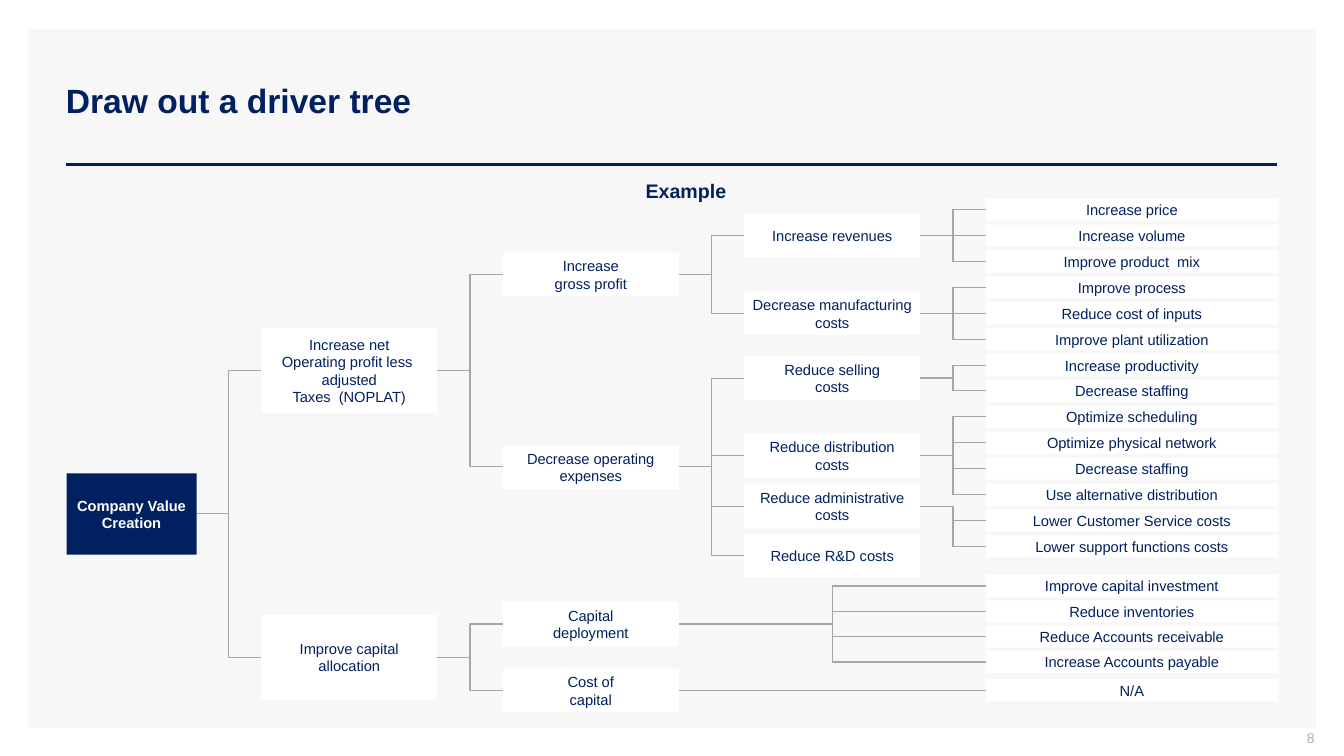
from dataclasses import dataclass, field

from lxml.etree import SubElement
from pptx import Presentation
from pptx.dml.color import RGBColor
from pptx.enum.shapes import MSO_CONNECTOR, MSO_SHAPE
from pptx.enum.text import MSO_ANCHOR, PP_ALIGN
from pptx.oxml.ns import qn
from pptx.util import Pt

NAVY, WHITE, PALE, LINE_GREY, NUMBER_GREY = "002060", "FFFFFF", "F7F7F7", "A6A6A6", "ADAFBB"
COLUMN_STEP, BOX_WIDTH, ROOT_WIDTH, LEAF_WIDTH = 172.5, 126, 93, 209
ROOT_LEFT, FIRST_COLUMN_LEFT = 0, 139
BOX_HEIGHTS = [58, 61, 31.2, 31.2]
LEAF_DEPTH, LEAF_HEIGHT, LEAF_STEP, CAPITAL_STEP = 4, 15.8, 18.5, 18.1


@dataclass
class Driver:
    label: str
    children: list = field(default_factory=list)
    offset: float = None

    def middle(self):
        if self.offset is not None:
            return self.offset
        return (self.children[0].middle() + self.children[-1].middle()) / 2


def leaves(first_row, *labels):
    return [Driver(label, offset=(first_row + row) * LEAF_STEP) for row, label in enumerate(labels)]


def capital_leaves(start, *labels):
    return [Driver(label, offset=start + row * CAPITAL_STEP) for row, label in enumerate(labels)]


REVENUES = Driver("Increase revenues", leaves(
    0, "Increase price", "Increase volume", "Improve product  mix"))
MANUFACTURING = Driver("Decrease manufacturing\ncosts", leaves(
    3, "Improve process", "Reduce cost of inputs", "Improve plant utilization"))
SELLING = Driver("Reduce selling\ncosts", leaves(
    6, "Increase productivity", "Decrease staffing"))
DISTRIBUTION = Driver("Reduce distribution\ncosts", leaves(
    8, "Optimize scheduling", "Optimize physical network", "Decrease staffing",
    "Use alternative distribution"))
ADMINISTRATION = Driver("Reduce administrative\ncosts", leaves(
    12, "Lower Customer Service costs", "Lower support functions costs"), offset=211.8)
RESEARCH = Driver("Reduce R&D costs", offset=247.2)
DEPLOYMENT = Driver("Capital\ndeployment", capital_leaves(
    268.8, "Improve capital investment", "Reduce inventories",
    "Reduce Accounts receivable", "Increase Accounts payable"))
COST_OF_CAPITAL = Driver("Cost of\ncapital", capital_leaves(343.4, "N/A"))

VALUE_TREE = Driver("Company Value Creation", [
    Driver("Increase net\nOperating profit less \vadjusted\nTaxes  (NOPLAT)", [
        Driver("Increase\ngross profit", [REVENUES, MANUFACTURING]),
        Driver("Decrease operating\nexpenses", [SELLING, DISTRIBUTION, ADMINISTRATION, RESEARCH]),
    ]),
    Driver("Improve capital\nallocation", [DEPLOYMENT, COST_OF_CAPITAL]),
])


def colour(value):
    return RGBColor.from_string(value)


def write(shape, text, size=10.5, ink=NAVY, bold=False, align=PP_ALIGN.CENTER,
          anchor=MSO_ANCHOR.MIDDLE, insets=(1.5, 1.5, 1.5, 1.5)):
    frame = shape.text_frame
    frame.word_wrap = True
    frame.vertical_anchor = anchor
    (frame.margin_left, frame.margin_top,
     frame.margin_right, frame.margin_bottom) = map(Pt, insets)
    frame.text = text
    for para in frame.paragraphs:
        para.alignment = align
        for span in para.runs:
            span.font.name = "Arial"
            span.font.size = Pt(size)
            span.font.bold = bold
            span.font.color.rgb = colour(ink)


def add_box(page, left, top, width, height, fill):
    box = page.shapes.add_shape(MSO_SHAPE.RECTANGLE, Pt(left), Pt(top), Pt(width), Pt(height))
    box.shadow.inherit = False
    box.fill.solid()
    box.fill.fore_color.rgb = colour(fill)
    box.line.fill.background()
    return box


def add_text(page, left, top, width, height, text, **style):
    box = page.shapes.add_textbox(Pt(left), Pt(top), Pt(width), Pt(height))
    write(box, text, **style)


def add_line(page, kind, start, end, ink, weight):
    line = page.shapes.add_connector(kind, *map(Pt, start + end))
    line.line.color.rgb = colour(ink)
    line.line.width = Pt(weight)
    SubElement(line._element.spPr, qn("a:effectLst"))
    return line


def join(page, parent, child, kind):
    link = add_line(page, kind, (0, 0), (0, 0), LINE_GREY, 0.75)
    link.begin_connect(parent, 3)
    link.end_connect(child, 1)


def draw_tree(page, driver, left, top, depth=0):
    is_root, is_leaf = depth == 0, depth == LEAF_DEPTH
    width = ROOT_WIDTH if is_root else LEAF_WIDTH if is_leaf else BOX_WIDTH
    height = LEAF_HEIGHT if is_leaf else BOX_HEIGHTS[depth]
    column = ROOT_LEFT if is_root else FIRST_COLUMN_LEFT + (depth - 1) * COLUMN_STEP
    box = add_box(page, left + column, top + driver.middle() - height / 2, width, height,
                  NAVY if is_root else WHITE)
    write(box, driver.label, ink=WHITE if is_root else NAVY, bold=is_root)
    ends_branch = driver in (DEPLOYMENT, COST_OF_CAPITAL)
    kind = MSO_CONNECTOR.STRAIGHT if len(driver.children) == 1 else MSO_CONNECTOR.ELBOW
    for child in driver.children:
        child_box = draw_tree(page, child, left, top, LEAF_DEPTH if ends_branch else depth + 1)
        join(page, box, child_box, kind)
    return box


def draw_frame(page, left, top, width, height):
    add_box(page, left, top, width, height, PALE)
    add_line(page, MSO_CONNECTOR.STRAIGHT, (left + 27.5, top + 96.5),
             (left + width - 28, top + 96.5), NAVY, 2)
    add_text(page, left + 20, top + 8, width - 48, 85.5, "Draw out a driver tree",
             size=24, bold=True, align=PP_ALIGN.LEFT, insets=(7.2, 3.6, 7.2, 3.6))
    add_text(page, left + width - 217, top + height + 1, 216, 15, "8", size=10,
             ink=NUMBER_GREY, align=PP_ALIGN.RIGHT, insets=(7.2, 0, 0, 3.6))


def main():
    deck = Presentation()
    deck.slide_width, deck.slide_height = Pt(960), Pt(540)
    page = deck.slides.add_slide(deck.slide_layouts[6])
    draw_frame(page, 20, 21, 920, 499)
    draw_tree(page, VALUE_TREE, 47.5, 149.8)
    add_text(page, 399.5, 124.5, 181, 24.5, "Example", size=14, bold=True,
             anchor=MSO_ANCHOR.TOP, insets=(7.2, 3.6, 7.2, 3.6))
    deck.save("out.pptx")


if __name__ == "__main__":
    main()
